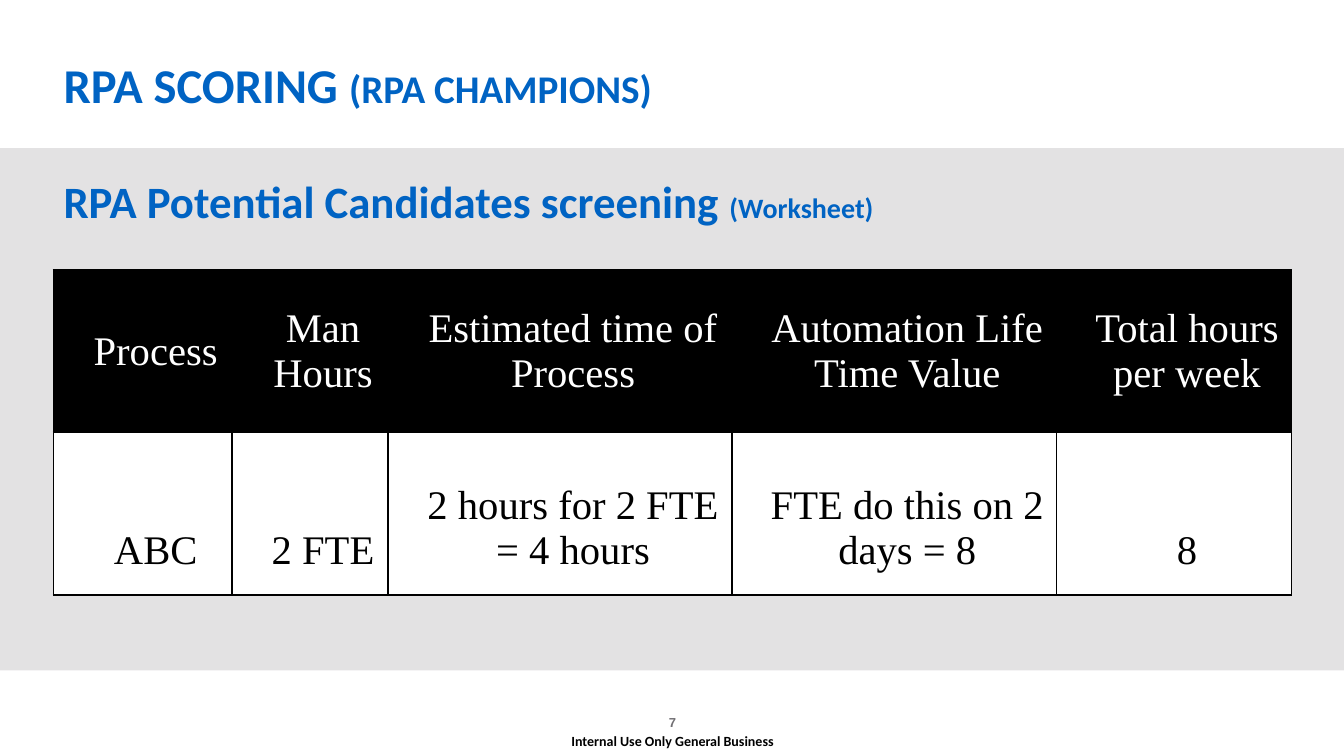
from lxml import etree
from pptx import Presentation
from pptx.dml.color import RGBColor
from pptx.enum.shapes import MSO_SHAPE
from pptx.enum.text import MSO_ANCHOR, MSO_AUTO_SIZE, PP_ALIGN
from pptx.oxml.ns import qn
from pptx.util import Inches, Pt

RECT = MSO_SHAPE.RECTANGLE
TOP, MIDDLE, BOTTOM = MSO_ANCHOR.TOP, MSO_ANCHOR.MIDDLE, MSO_ANCHOR.BOTTOM
LEFT, CENTER = PP_ALIGN.LEFT, PP_ALIGN.CENTER
NO_FIT = MSO_AUTO_SIZE.NONE
BLUE, BLACK, WHITE, GRAY, PALE = "0063C3", "000000", "FFFFFF", "716F73", "E3E2E3"
HEADERS = ["Process", "Man Hours", "Estimated time of Process",
           "Automation Life Time Value", "Total hours per week"]
VALUES = ["ABC", "2 FTE", "2 hours for 2 FTE = 4 hours",
          "FTE do this on 2 days = 8", "8"]
COL_WIDTHS = [1.77, 1.55, 3.41, 3.22, 2.33]


def color(value):
    return RGBColor.from_string(value)


def add_text(p, text, size=10, font="Calibri", fill=BLACK, bold=False, align=LEFT):
    p.alignment = align
    r = p.add_run()
    r.text = text
    r.font.name = font
    r.font.size = Pt(size)
    r.font.bold = bold
    r.font.color.rgb = color(fill)


def place(sp, box):
    sp.left, sp.top, sp.width, sp.height = map(Inches, box)


def fill_heading(sp, box, parts, anchor):
    place(sp, box)
    tf = sp.text_frame
    tf.word_wrap = True
    tf.auto_size = NO_FIT
    tf.vertical_anchor = anchor
    p = tf.paragraphs[0]
    for text, size in parts:
        add_text(p, text, size=size, fill=BLUE, bold=True)
    return p


def add_band(s, box):
    sp = s.shapes.add_shape(RECT, *map(Inches, box))
    sp.shadow.inherit = False
    sp.fill.solid()
    sp.fill.fore_color.rgb = color(PALE)
    sp.line.fill.background()
    s.shapes.title.element.addprevious(sp.element)


def add_label(s, box, text, anchor, **fmt):
    tf = s.shapes.add_textbox(*map(Inches, box)).text_frame
    tf.word_wrap = True
    tf.margin_left = tf.margin_right = tf.margin_top = tf.margin_bottom = 0
    tf.vertical_anchor = anchor
    add_text(tf.paragraphs[0], text, bold=True, align=CENTER, **fmt)


def add_borders(cell):
    tc_pr = cell._tc.get_or_add_tcPr()
    for side in ("lnL", "lnR", "lnT", "lnB"):
        ln = etree.SubElement(tc_pr, qn(f"a:{side}"), w=str(Pt(1.5)))
        solid = etree.SubElement(ln, qn("a:solidFill"))
        etree.SubElement(solid, qn("a:srgbClr"), val=BLACK)


def fill_cell(cell, text, fill, ink, anchor):
    cell.margin_left, cell.margin_right = Inches(0.27), Inches(0.01)
    cell.margin_top = cell.margin_bottom = Inches(0.21)
    cell.vertical_anchor = anchor
    add_borders(cell)
    cell.fill.solid()
    cell.fill.fore_color.rgb = color(fill)
    add_text(cell.text_frame.paragraphs[0], text, size=29,
             font="Times New Roman", fill=ink, align=CENTER)


def add_score_table(s, box):
    rows = [(HEADERS, BLACK, WHITE, MIDDLE), (VALUES, WHITE, BLACK, BOTTOM)]
    table = s.shapes.add_table(len(rows), len(HEADERS), *map(Inches, box)).table
    for col, width in zip(table.columns, COL_WIDTHS):
        col.width = Inches(width)
    for i, (texts, fill, ink, anchor) in enumerate(rows):
        table.rows[i].height = Inches(box[3] / len(rows))
        for j, text in enumerate(texts):
            fill_cell(table.cell(i, j), text, fill, ink, anchor)


def add_footer(s, box):
    left, top, width, height = box
    add_label(s, (left, top, width, 0.4), "7", BOTTOM,
              size=9.3, font="Arial", fill=GRAY)
    add_label(s, (left, top + 0.37, width, height - 0.37),
              "Internal Use Only General Business", MIDDLE)


def build_scoring_slide(prs):
    s = prs.slides.add_slide(prs.slide_layouts[1])
    add_band(s, (0, 1.47, 13.33, 5.18))
    fill_heading(s.shapes.title, (0.53, 0.49, 12.27, 0.68),
                 [("RPA SCORING ", 34.7), ("(RPA CHAMPIONS)", 28)], BOTTOM)
    p = fill_heading(s.placeholders[1], (0.53, 1.67, 12.27, 0.51),
                     [("RPA Potential Candidates screening ", 32),
                      ("(Worksheet)", 20)], TOP)
    p.space_before = Pt(8)
    p_pr = p._p.get_or_add_pPr()
    p_pr.set("marL", "0")
    p_pr.set("indent", "0")
    etree.SubElement(p_pr, qn("a:buNone"))
    add_score_table(s, (0.53, 2.68, 12.27, 3.22))
    add_footer(s, (5.51, 6.84, 2.32, 0.66))


def main():
    prs = Presentation()
    prs.slide_width, prs.slide_height = Inches(13.33), Inches(7.5)
    build_scoring_slide(prs)
    prs.save("out.pptx")


if __name__ == "__main__":
    main()
